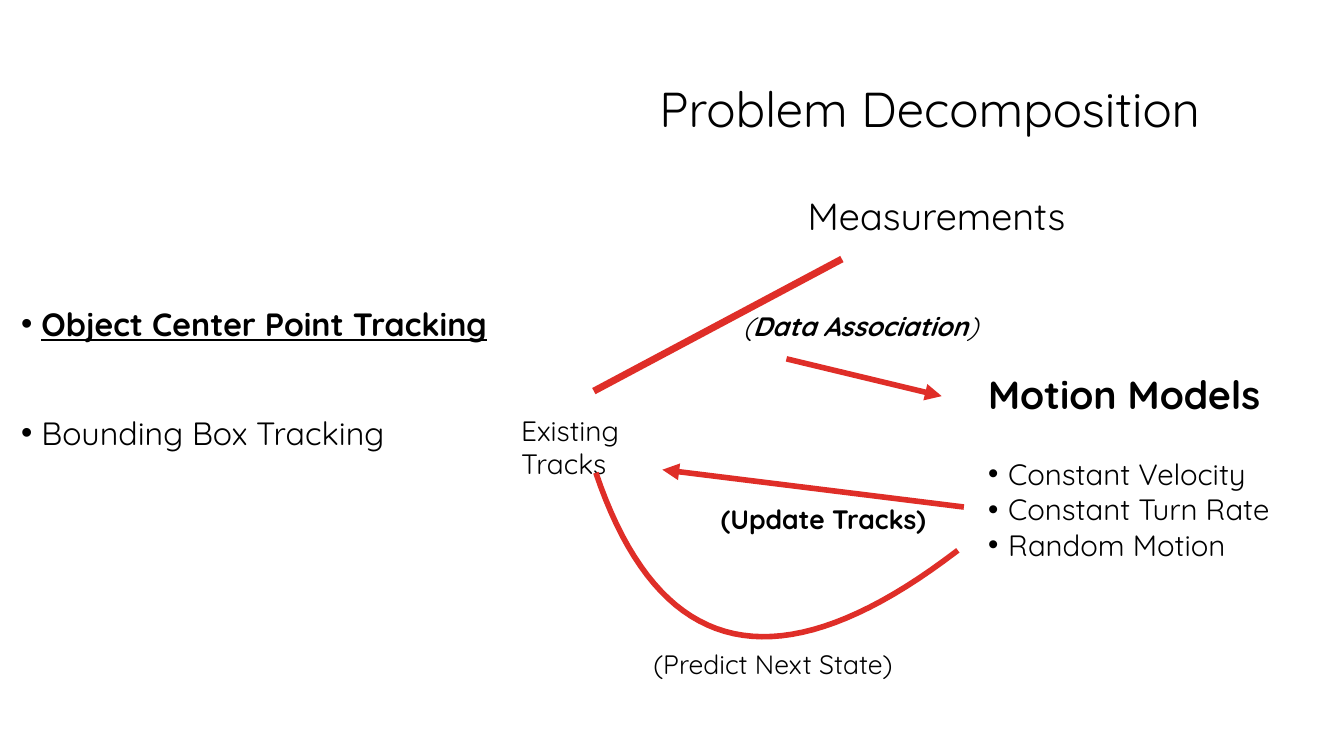
from dataclasses import dataclass

from lxml.etree import SubElement
from pptx import Presentation
from pptx.dml.color import RGBColor
from pptx.enum.shapes import MSO_CONNECTOR as Connector
from pptx.oxml.ns import qn
from pptx.util import Inches, Pt


@dataclass(frozen=True)
class Theme:
    font: str = "Quicksand"
    bullet_font: str = "Arial"
    ink: RGBColor = RGBColor(0x00, 0x00, 0x00)
    arrow: RGBColor = RGBColor(0xDF, 0x2E, 0x28)
    title: int = 35
    models_heading: int = 28
    measurements: int = 27
    topic: int = 23
    model: int = 21
    tracks: int = 20
    step: int = 19
    thick: int = 5
    thin: int = 4
    inset: float = 0.05
    hang: float = 0.2


THEME = Theme()


def add_text_frame(slide, box):
    shape = slide.shapes.add_textbox(*(Inches(length) for length in box))
    frame = shape.text_frame
    frame.word_wrap = True
    frame.margin_left = frame.margin_right = Inches(THEME.inset)
    frame.margin_top = frame.margin_bottom = Inches(THEME.inset)
    return frame


def add_run(paragraph, text, size, bold=False, italic=False, underline=False):
    run = paragraph.add_run()
    run.text = text
    font = run.font
    font.name, font.size = THEME.font, Pt(size)
    font.color.rgb = THEME.ink
    font.bold, font.italic, font.underline = bold, italic, underline


def add_bullet(paragraph):
    properties = paragraph._p.get_or_add_pPr()
    properties.set("marL", str(Inches(THEME.hang)))
    properties.set("indent", str(-Inches(THEME.hang)))
    SubElement(properties, qn("a:buFont")).set("typeface", THEME.bullet_font)
    SubElement(properties, qn("a:buChar")).set("char", "•")


def add_label(slide, box, text, size, bold=False):
    add_run(add_text_frame(slide, box).paragraphs[0], text, size, bold)


def add_line(slide, start, end, width, arrow=False):
    points = [Inches(length) for length in (*start, *end)]
    connector = slide.shapes.add_connector(Connector.STRAIGHT, *points)
    connector.line.color.rgb = THEME.arrow
    connector.line.width = Pt(width)
    if arrow:
        line = connector.line._get_or_add_ln()
        SubElement(line, qn("a:tailEnd")).set("type", "triangle")
    SubElement(connector._element.spPr, qn("a:effectLst"))


def curve_point(controls, t):
    weights = ((1 - t) ** 3, 3 * t * (1 - t) ** 2, 3 * t ** 2 * (1 - t), t ** 3)
    return tuple(
        Inches(sum(weight * value for weight, value in zip(weights, axis)))
        for axis in zip(*controls)
    )


def add_curve(slide, controls, width, steps=40):
    points = [curve_point(controls, step / steps) for step in range(steps + 1)]
    builder = slide.shapes.build_freeform(*points[0], scale=1.0)
    builder.add_line_segments(points[1:], close=False)
    shape = builder.convert_to_shape()
    shape.shadow.inherit = False
    shape.fill.background()
    shape.line.color.rgb = THEME.arrow
    shape.line.width = Pt(width)


def add_topics(slide, box):
    frame = add_text_frame(slide, box)
    current = frame.paragraphs[0]
    add_bullet(current)
    add_run(current, "Object Center Point Tracking", THEME.topic, bold=True, underline=True)
    following = frame.add_paragraph()
    following.space_before = Pt(50)
    add_bullet(following)
    add_run(following, "Bounding Box Tracking", THEME.topic)


def add_motion_models(slide, box):
    frame = add_text_frame(slide, box)
    add_run(frame.paragraphs[0], "Motion Models", THEME.models_heading, bold=True)
    models = ("Constant Velocity", "Constant Turn Rate", "Random Motion")
    for index, model in enumerate(models):
        paragraph = frame.add_paragraph()
        paragraph.space_before = Pt(0 if index else 28)
        add_bullet(paragraph)
        add_run(paragraph, model, THEME.model)


def add_association(slide, box):
    paragraph = add_text_frame(slide, box).paragraphs[0]
    for text, bold in (("(", False), ("Data Association", True), (")", False)):
        add_run(paragraph, text, THEME.step, bold, italic=True)


def add_tracking_loop(slide, box):
    left, top, _, _ = box

    def at(x, y, *size):
        return (left + x, top + y, *size)

    add_label(slide, at(2.84, 0, 2.78, 0.56), "Measurements", THEME.measurements)
    add_motion_models(slide, at(4.63, 1.76, 3.07, 2.04))
    add_label(slide, at(0, 2.19, 1.6, 0.77), "Existing Tracks", THEME.tracks)
    add_line(slide, at(0.77, 2.02), at(3.23, 0.71), THEME.thick)
    add_association(slide, at(2.2, 1.17, 2.6, 0.42))
    add_label(slide, at(1.31, 4.52, 2.7, 0.42), "(Predict Next State)", THEME.step)
    bend = [at(0.79, 2.83), at(1.42, 4.7), at(2.61, 4.96), at(4.38, 3.6)]
    add_curve(slide, bend, THEME.thin)
    add_line(slide, at(2.68, 1.7), at(4.22, 2.07), THEME.thin, arrow=True)
    add_line(slide, at(4.44, 3.17), at(1.45, 2.8), THEME.thin, arrow=True)
    add_label(slide, at(1.98, 3.08, 2.3, 0.42), "(Update Tracks)", THEME.step, bold=True)


def main():
    presentation = Presentation()
    presentation.slide_width = Inches(13.33)
    presentation.slide_height = Inches(7.5)
    slide = presentation.slides.add_slide(presentation.slide_layouts[6])
    add_label(slide, (6.49, 0.73, 5.78, 0.7), "Problem Decomposition", THEME.title)
    add_topics(slide, (0.16, 2.97, 4.85, 1.6))
    add_tracking_loop(slide, (5.12, 1.86, 7.7, 4.94))
    presentation.save("out.pptx")


if __name__ == "__main__":
    main()
